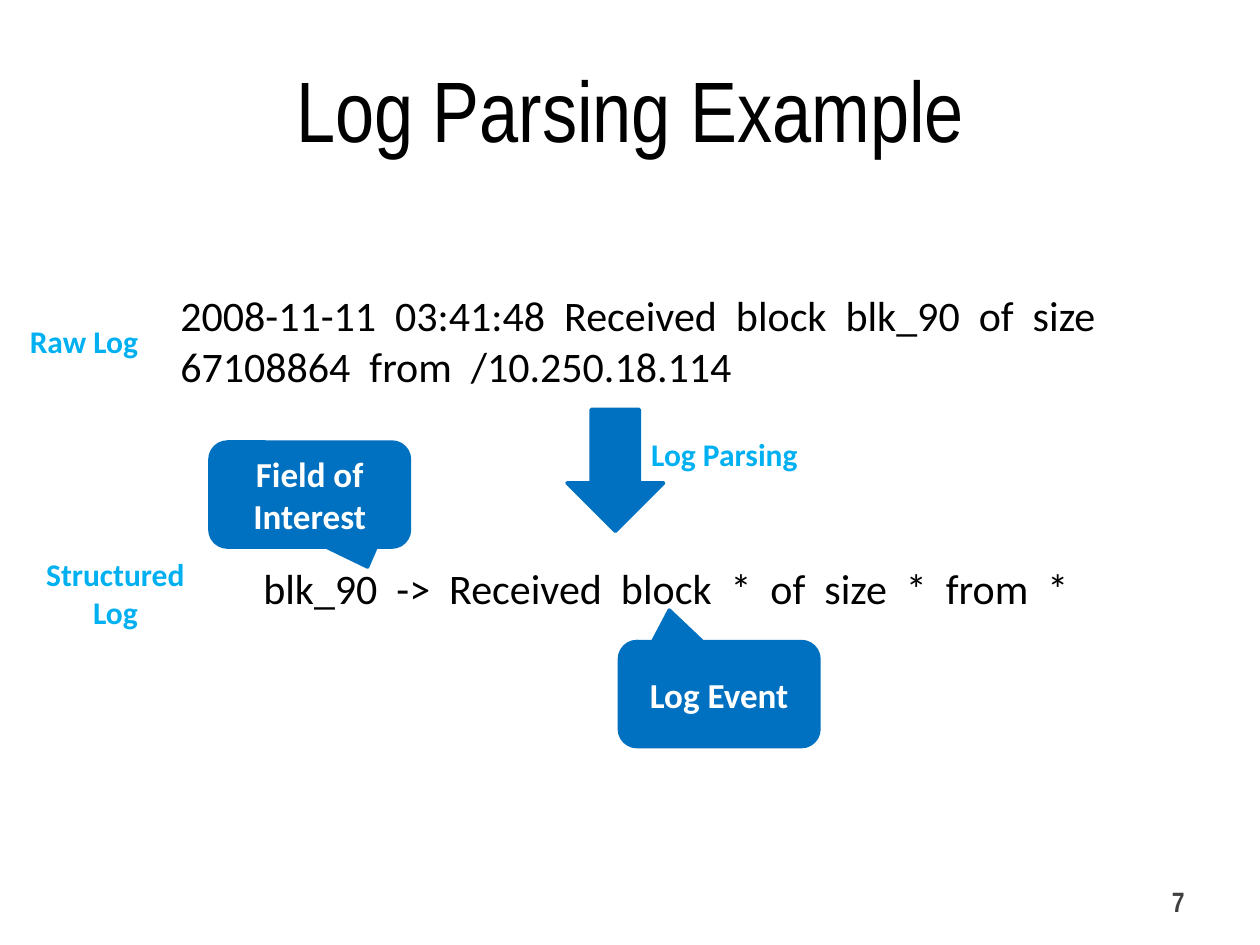
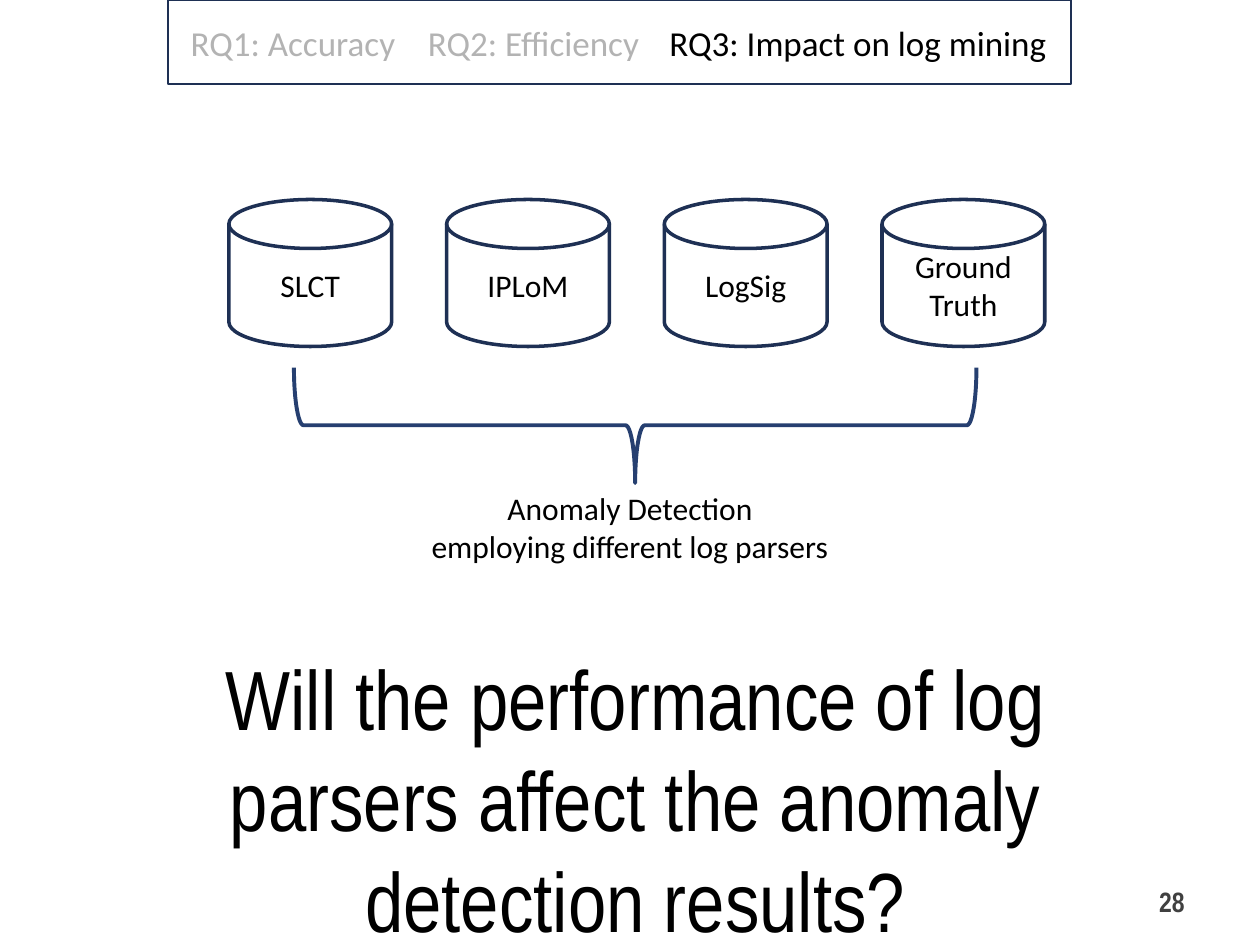
"""Builds two slides on log parsing and its effect on anomaly detection."""
from lxml import etree
from pptx import Presentation
from pptx import util as u
from pptx.dml.color import RGBColor
from pptx.enum import shapes, text
from pptx.oxml.ns import qn

COLUMNS, ROWS = 120, 90
BLACK, WHITE, GREY = "000000", "FFFFFF", "404040"
BLUE, SKY, NAVY, BRACE_BLUE = "0070C0", "00B0F0", "1E3054", "263F70"
BODY_FONT, HEAD_FONT = "Calibri", "Arial Narrow"
LEFT, CENTER, RIGHT = text.PP_ALIGN.LEFT, text.PP_ALIGN.CENTER, text.PP_ALIGN.RIGHT
TOP, MIDDLE = text.MSO_ANCHOR.TOP, text.MSO_ANCHOR.MIDDLE
TITLE_ONLY, BLANK = 5, 6
KIND = shapes.MSO_SHAPE


def rgb(code):
    return RGBColor.from_string(code)


class Deck:
    def __init__(self):
        self.show = Presentation()
        self.show.slide_width, self.show.slide_height = u.Inches(10), u.Inches(7.5)
        self.column = self.show.slide_width / COLUMNS
        self.row = self.show.slide_height / ROWS

    def start(self, layout, number):
        self.slide = self.show.slides.add_slide(self.show.slide_layouts[layout])
        self.label((86, 83.4, 28, 4.8), number, 16, GREY, True, RIGHT, MIDDLE, HEAD_FONT)

    def place(self, area):
        left, top, width, height = area
        return [round(n) for n in (left * self.column, top * self.row,
                                   width * self.column, height * self.row)]

    def fill_text(self, holder, words, size, color=BLACK, bold=False, align=CENTER,
                  anchor=MIDDLE, font=BODY_FONT, tabs=()):
        frame = holder.text_frame
        frame.word_wrap, frame.vertical_anchor = True, anchor
        frame.text = words
        for paragraph in frame.paragraphs:
            paragraph.alignment = align
            if tabs:
                stops = etree.SubElement(paragraph._p.get_or_add_pPr(), qn("a:tabLst"))
                for column in tabs:
                    etree.SubElement(stops, qn("a:tab"), algn="l",
                                     pos=str(round(column * self.column)))
            style = paragraph.font
            style.name, style.size, style.bold = font, u.Pt(size), bold
            style.color.rgb = rgb(color)

    def title(self, area, words):
        heading = self.slide.shapes.title
        heading.left, heading.top, heading.width, heading.height = self.place(area)
        self.fill_text(heading, words, 49, font=HEAD_FONT)

    def label(self, area, words, *style, **options):
        self.fill_text(self.slide.shapes.add_textbox(*self.place(area)), words,
                       *style, **options)

    def shape(self, kind, area, fill=None, line=NAVY, weight=2, turn=0, adjust=()):
        part = self.slide.shapes.add_shape(kind, *self.place(area))
        part.shadow.inherit = False
        part.rotation = turn
        if fill:
            part.fill.solid()
            part.fill.fore_color.rgb = rgb(fill)
        else:
            part.fill.background()
        part.line.color.rgb, part.line.width = rgb(line), u.Pt(weight)
        for index, value in enumerate(adjust):
            part.adjustments[index] = value
        return part

    def callout(self, left, top, words, tip):
        bubble = self.shape(KIND.ROUNDED_RECTANGULAR_CALLOUT, (left, top, 19, 10),
                            BLUE, BLUE, adjust=tip)
        self.fill_text(bubble, words, 20, WHITE, True)

    def cylinder(self, left, words):
        store = self.shape(KIND.FLOWCHART_MAGNETIC_DISK, (left, 19, 15.5, 14), WHITE)
        self.fill_text(store, words, 18)

    def veil(self, area):
        cover = self.shape(KIND.RECTANGLE, area, WHITE, WHITE)
        color = cover._element.spPr.find(qn("a:solidFill"))[0]
        etree.SubElement(color, qn("a:alpha"), val="70000")


def parsing_example(deck):
    deck.start(TITLE_ONLY, "7")
    deck.title((6, 3.6, 108, 13.4), "Log Parsing Example")
    deck.label((16, 27, 107, 12),
               "2008-11-11  03:41:48  Received  block  blk_90  of  size  "
               "67108864  from  /10.250.18.114", 24, align=LEFT, anchor=TOP)
    deck.label((23.9, 53, 94, 7), "blk_90  ->  Received  block  *  of  size  *  from  *",
               24, align=LEFT, anchor=TOP)
    for left, top, caption in ((-1, 30, "Raw Log"), (2, 54, "Structured\nLog"),
                               (60, 40.8, "Log Parsing")):
        deck.label((left, top, 18, 4.9), caption, 18, SKY, True)
    deck.shape(KIND.RIGHT_ARROW, (52.8, 40.2, 11.6, 9.2), BLUE, BLUE, turn=90)
    deck.callout(20, 42.1, "Field of Interest", (0.29, 0.69))
    deck.callout(59, 61.1, "Log Event", (-0.25, -0.8))


def mining_impact(deck):
    deck.start(BLANK, "28")
    questions = deck.shape(KIND.RECTANGLE, (16, 0, 86, 8), WHITE, weight=1)
    questions.text_frame.margin_left = round(2.15 * deck.column)
    deck.fill_text(questions, "RQ1: Accuracy\tRQ2: Efficiency\tRQ3: Impact on log mining",
                   20, align=LEFT, tabs=(22.6, 45.6))
    deck.veil((18, 2, 43, 4))
    parsers = ("SLCT", "IPLoM", "LogSig", "Ground\nTruth")
    first, last = 21.8, 84
    step = (last - first) / (len(parsers) - 1)
    for index, parser in enumerate(parsers):
        deck.cylinder(first + index * step, parser)
    deck.shape(KIND.LEFT_BRACE, (55, 8, 11, 65), line=BRACE_BLUE, weight=2.25, turn=270)
    deck.label((17, 46, 86, 8.5), "Anomaly Detection\nemploying different log parsers",
               18, anchor=TOP)
    deck.label((9, 61, 103, 20),
               "Will the performance of log parsers affect the anomaly detection results?",
               48, anchor=TOP, font=HEAD_FONT)


def main():
    deck = Deck()
    parsing_example(deck)
    mining_impact(deck)
    deck.show.save("out.pptx")


if __name__ == "__main__":
    main()
